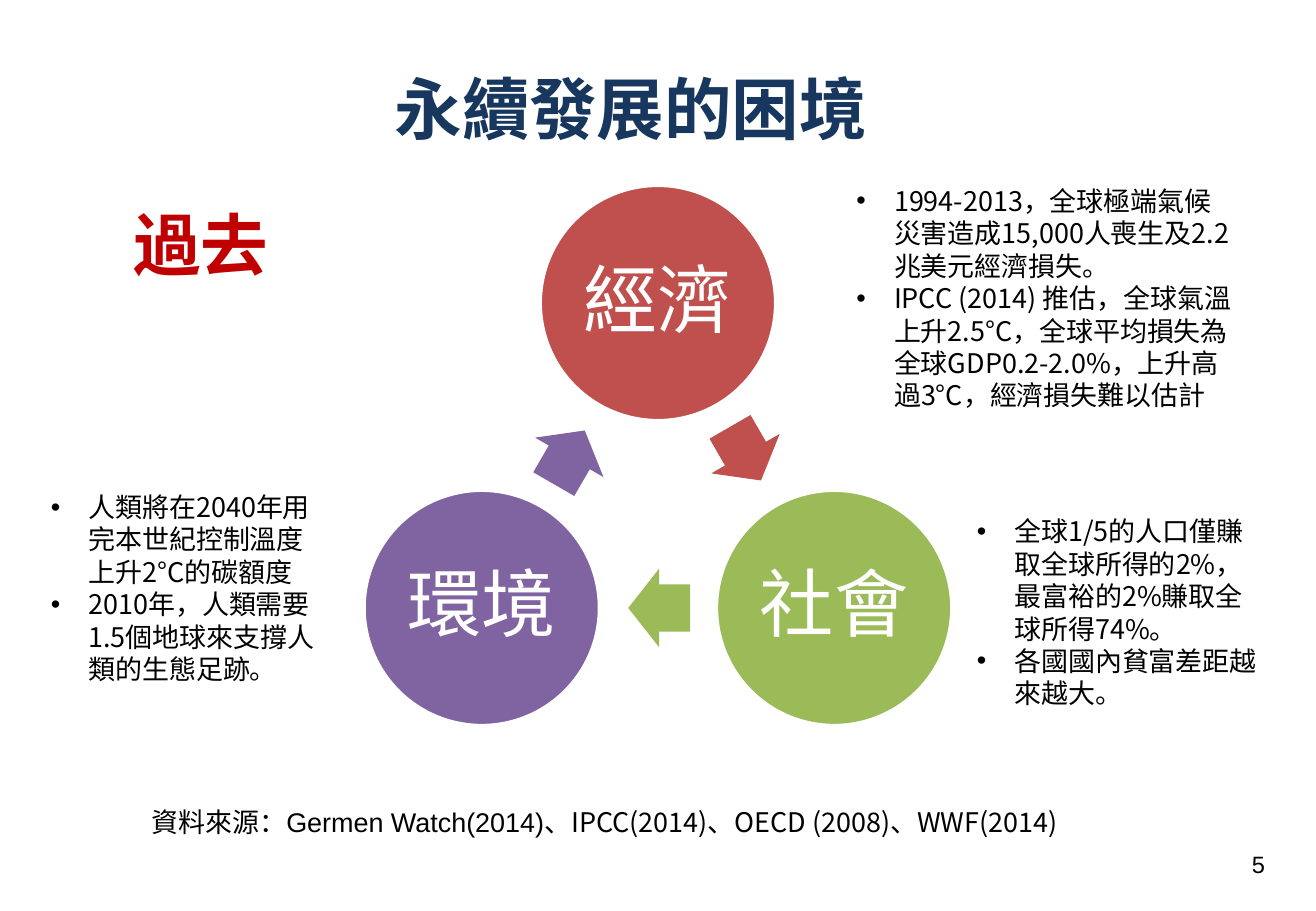
from lxml import etree
from pptx import Presentation
from pptx.dml.color import RGBColor
from pptx.enum.shapes import MSO_SHAPE
from pptx.enum.text import MSO_ANCHOR, MSO_AUTO_SIZE, PP_ALIGN
from pptx.oxml.ns import qn
from pptx.util import Inches, Pt

LEFT, CENTER, RIGHT = PP_ALIGN.LEFT, PP_ALIGN.CENTER, PP_ALIGN.RIGHT
TOP, MIDDLE, BOTTOM = MSO_ANCHOR.TOP, MSO_ANCHOR.MIDDLE, MSO_ANCHOR.BOTTOM
GROW, FIXED = MSO_AUTO_SIZE.SHAPE_TO_FIT_TEXT, MSO_AUTO_SIZE.NONE
OVAL, ARROW = MSO_SHAPE.OVAL, MSO_SHAPE.RIGHT_ARROW

NOTO, ARIAL = "Noto Sans CJK SC", "Arial"
COLORS = {
    "navy": "17375E", "crimson": "C00000", "black": "000000", "white": "FFFFFF",
    "red": "C0504D", "green": "9BBB59", "purple": "8064A2",
}
FORMATS = {
    "title": {"size": Pt(40), "bold": True, "name": NOTO},
    "body": {"size": Pt(16), "name": NOTO},
    "latin": {"size": Pt(16), "name": ARIAL},
    "circle": {"size": Pt(44), "name": ARIAL},
    "number": {"size": Pt(14), "name": ARIAL},
}

# Circle: word, colour, offset in the cycle; arrow: offset, rotation
CYCLE = [
    ("經濟", "red", (1.45, 0), (2.88, 1.88), 60),
    ("社會", "green", (2.9, 2.51), (2.17, 3.15), 180),
    ("環境", "purple", (0, 2.51), (1.43, 1.91), 300),
]
NOTES = [
    ((6.95, 1.47, 3.33, 1.99), [
        "1994-2013，全球極端氣候災害造成15,000人喪生及2.2兆美元經濟損失。",
        "IPCC (2014) 推估，全球氣溫上升2.5°C，全球平均損失為全球GDP0.2-2.0%，"
        "上升高過3°C，經濟損失難以估計"]),
    ((7.94, 4.19, 2.56, 1.72), [
        "全球1/5的人口僅賺取全球所得的2%，最富裕的2%賺取全球所得74%。",
        "各國國內貧富差距越來越大。"]),
    ((0.32, 3.99, 2.39, 1.72), [
        "人類將在2040年用完本世紀控制溫度上升2°C的碳額度",
        "2010年，人類需要1.5個地球來支撐人類的生態足跡。"]),
]


def rgb(key):
    return RGBColor.from_string(COLORS[key])


def add_run(para, text, style, color):
    run = para.add_run()
    run.text = text
    for name, value in FORMATS[style].items():
        setattr(run.font, name, value)
    run.font.color.rgb = rgb(color)
    etree.SubElement(run.font._element, qn("a:ea"), typeface=NOTO)


def add_bullet(para):
    props = para._p.get_or_add_pPr()
    props.set("marL", str(Inches(0.31)))
    props.set("indent", str(Inches(-0.31)))
    etree.SubElement(props, qn("a:buFont"), typeface=ARIAL)
    etree.SubElement(props, qn("a:buChar"), char="•")


def add_box(slide, box, align=LEFT, anchor=TOP, fit=GROW):
    frame = slide.shapes.add_textbox(*map(Inches, box)).text_frame
    frame.word_wrap = True
    frame.auto_size = fit
    frame.vertical_anchor = anchor
    frame.paragraphs[0].alignment = align
    return frame


def add_label(slide, box, runs, color, **layout):
    para = add_box(slide, box, **layout).paragraphs[0]
    for text, style in runs:
        add_run(para, text, style, color)


def add_notes(slide, box, items):
    frame = add_box(slide, box)
    for index, item in enumerate(items):
        para = frame.add_paragraph() if index else frame.paragraphs[0]
        add_bullet(para)
        add_run(para, item, "body", "black")


def add_solid(slide, kind, box, color):
    shape = slide.shapes.add_shape(kind, *map(Inches, box))
    shape.shadow.inherit = False
    shape.fill.solid()
    shape.fill.fore_color.rgb = rgb(color)
    return shape


def add_cycle(slide, left, top):
    for word, color, (cx, cy), (ax, ay), turn in CYCLE:
        disc = add_solid(slide, OVAL, (left + cx, top + cy, 1.93, 1.93), color)
        disc.line.color.rgb = rgb("white")
        disc.line.width = Pt(1.5)
        frame = disc.text_frame
        frame.word_wrap = False
        frame.vertical_anchor = MIDDLE
        for side in ("left", "top", "right", "bottom"):
            setattr(frame, "margin_" + side, Inches(0.06))
        para = frame.paragraphs[0]
        para.alignment = CENTER
        para.line_spacing = 0.9
        add_run(para, word, "circle", "white")

        arrow = add_solid(slide, ARROW, (left + ax, top + ay, 0.51, 0.65), color)
        arrow.line.fill.background()
        arrow.adjustments[0] = 0.6
        arrow.adjustments[1] = 0.5
        arrow.rotation = turn


def main():
    deck = Presentation()
    deck.slide_width, deck.slide_height = Inches(10.83), Inches(7.5)
    slide = deck.slides.add_slide(deck.slide_layouts[6])

    # Headings
    add_label(slide, (1.28, 0.68, 7.82, 0.59), [("永續發展的困境", "title")],
              "navy", align=CENTER, anchor=BOTTOM, fit=FIXED)
    add_label(slide, (0.59, 1.62, 2.12, 0.77), [("過去", "title")],
              "crimson", align=CENTER)

    # Cycle and its notes
    add_cycle(slide, 3, 1.53)
    for box, items in NOTES:
        add_notes(slide, box, items)

    # Sources and page number
    add_label(slide, (1.15, 6.58, 8.7, 0.37),
              [("資料來源：Germen Watch(2014)", "latin"),
               ("、IPCC(2014)、OECD (2008)、WWF(2014)", "body")], "black")
    add_label(slide, (7.98, 6.95, 2.53, 0.4), [("5", "number")],
              "black", align=RIGHT, fit=FIXED)

    deck.save("out.pptx")


if __name__ == "__main__":
    main()
